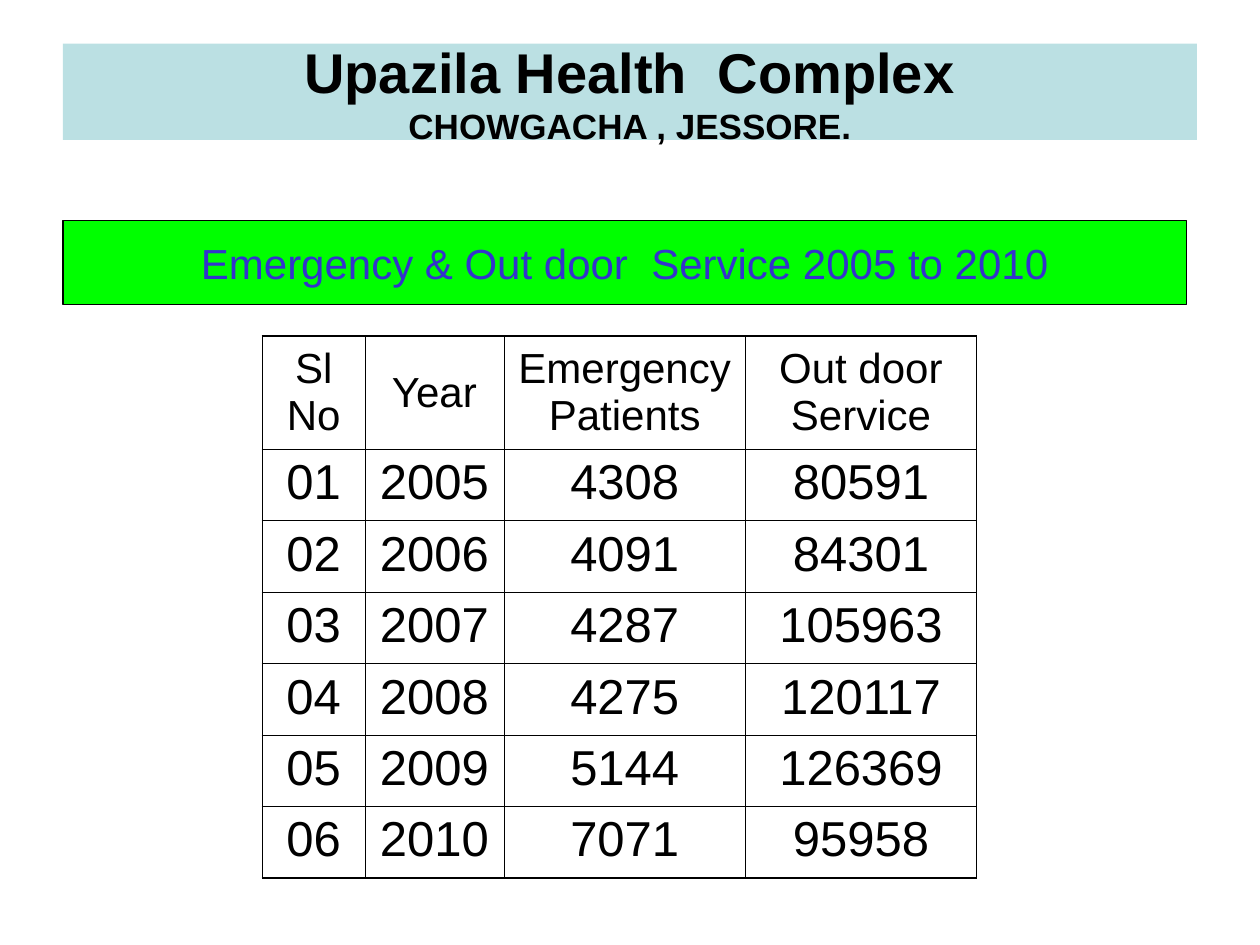
from lxml import etree
from pptx import Presentation
from pptx.dml.color import RGBColor
from pptx.enum.shapes import MSO_SHAPE
from pptx.enum.text import MSO_ANCHOR, PP_ALIGN
from pptx.oxml.ns import qn
from pptx.util import Pt

RECTANGLE = MSO_SHAPE.RECTANGLE
CENTER = PP_ALIGN.CENTER
MIDDLE, TOP = MSO_ANCHOR.MIDDLE, MSO_ANCHOR.TOP

COLORS = {"heading": "BBE0E3", "banner": "00FF00", "banner_text": "3333CC", "ink": "000000"}
FONT = "Arial"
OUTER, INNER = 1.08, 0.45

HEADERS = ["Sl No", "Year", "Emergency Patients", "Out door Service"]
SERVICES = [
    ("01", "2005", "4308", "80591"),
    ("02", "2006", "4091", "84301"),
    ("03", "2007", "4287", "105963"),
    ("04", "2008", "4275", "120117"),
    ("05", "2009", "5144", "126369"),
    ("06", "2010", "7071", "95958"),
]
COLUMN_WIDTHS = [58.5, 79.5, 138, 132]
HEADER_HEIGHT, ROW_HEIGHT = 64.6, 40.86


def write(paragraph, text, size=24, color="ink", bold=False):
    """Add a centred run of text to a paragraph."""
    paragraph.alignment = CENTER
    run = paragraph.add_run()
    run.text = text
    run.font.name = FONT
    run.font.size = Pt(size)
    run.font.bold = bold
    run.font.color.rgb = RGBColor.from_string(COLORS[color])


def add_panel(slide, box, fill, outline=None, insets=(7.2, 3.6)):
    """Draw a filled rectangle and return its first paragraph."""
    panel = slide.shapes.add_shape(RECTANGLE, *map(Pt, box))
    panel.shadow.inherit = False
    panel.fill.solid()
    panel.fill.fore_color.rgb = RGBColor.from_string(COLORS[fill])
    if outline:
        panel.line.color.rgb = RGBColor.from_string(COLORS[outline])
        panel.line.width = Pt(0.75)
    else:
        panel.line.fill.background()
    frame = panel.text_frame
    frame.word_wrap = True
    frame.vertical_anchor = MIDDLE
    frame.margin_left = frame.margin_right = Pt(insets[0])
    frame.margin_top = frame.margin_bottom = Pt(insets[1])
    return frame.paragraphs[0]


def add_heading(slide, box):
    """Place the health complex name above its location."""
    heading = add_panel(slide, box, "heading", insets=(0, 0))
    write(heading, "Upazila Health  Complex", size=32, bold=True)
    heading.add_line_break()
    write(heading, "CHOWGACHA , JESSORE.", size=20, bold=True)


def add_banner(slide, box):
    """Place the outlined banner that names the table."""
    banner = add_panel(slide, box, "banner", outline="ink")
    write(banner, "Emergency & Out door  Service 2005 to 2010", color="banner_text")


def set_borders(cell, **widths):
    """Give a cell solid borders, by side tag and width in points."""
    properties = cell._tc.get_or_add_tcPr()
    for index, (side, width) in enumerate(widths.items()):
        border = etree.Element(qn(f"a:{side}"), w=str(Pt(width)))
        fill = etree.SubElement(border, qn("a:solidFill"))
        etree.SubElement(fill, qn("a:srgbClr"), val=COLORS["ink"])
        properties.insert(index, border)


def add_service_table(slide, box):
    """Build the table of patients by year."""
    rows = [HEADERS, *SERVICES]
    last_row, last_column = len(rows) - 1, len(HEADERS) - 1
    table = slide.shapes.add_table(len(rows), len(HEADERS), *map(Pt, box)).table
    table.first_row = table.horz_banding = False
    for column, width in zip(table.columns, COLUMN_WIDTHS):
        column.width = Pt(width)
    for r, values in enumerate(rows):
        table.rows[r].height = Pt(ROW_HEIGHT if r else HEADER_HEIGHT)
        for c, value in enumerate(values):
            cell = table.cell(r, c)
            cell.fill.background()
            cell.vertical_anchor = TOP if r else MIDDLE
            write(cell.text_frame.paragraphs[0], value, size=28 if r else 24)
            set_borders(
                cell,
                lnL=OUTER if c == 0 else INNER,
                lnR=OUTER if c == last_column else INNER,
                lnT=OUTER if r in (0, last_row) else INNER,
                lnB=OUTER if r >= last_row - 1 else INNER,
            )


def main():
    """Build and save the slide."""
    presentation = Presentation()
    presentation.slide_width, presentation.slide_height = Pt(720), Pt(540)
    slide = presentation.slides.add_slide(presentation.slide_layouts[6])
    add_heading(slide, (36, 25, 648, 55))
    table_height = HEADER_HEIGHT + ROW_HEIGHT * len(SERVICES)
    add_service_table(slide, (150, 192, sum(COLUMN_WIDTHS), table_height))
    add_banner(slide, (36, 126, 642, 48))
    presentation.save("out.pptx")


if __name__ == "__main__":
    main()
